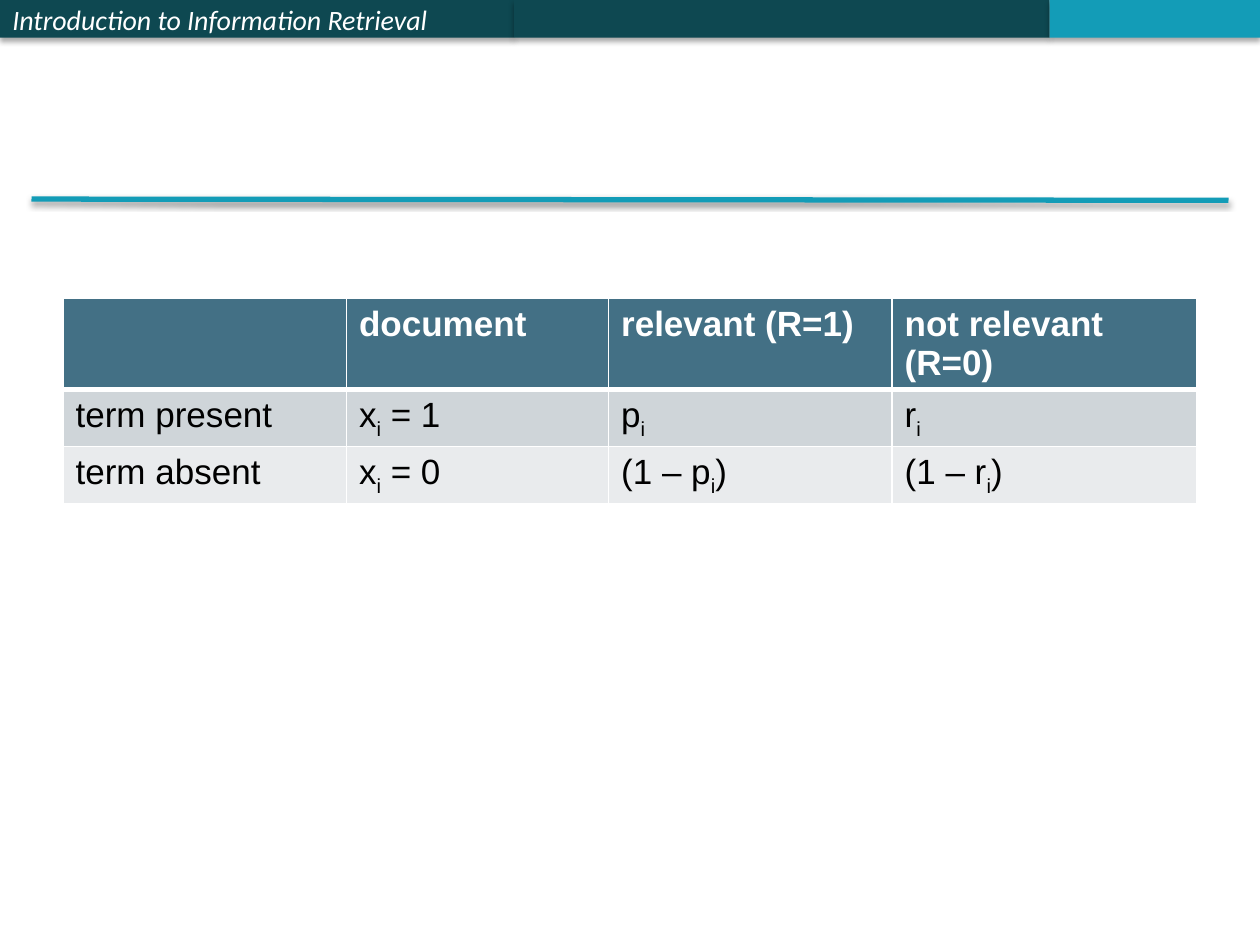
from lxml import etree
from pptx import Presentation, util as u
from pptx.dml.color import RGBColor
from pptx.enum import shapes, text
from pptx.oxml.ns import qn

WHITE, BLACK = "FFFFFF", "000000"
DARK_TEAL, TEAL = "0E4851", "139CB7"
HEADER_FILL, ROW_FILLS = "437085", ("CFD5D9", "E9EBED")

COLUMN_WIDTHS = (2.25, 2.08, 2.25, 2.42)
ROW_HEIGHT = 0.41
# Each cell is a list of runs; a run of "i" alone is a subscript.
ROWS = (
    ([], ["document"], ["relevant (R=1)"], ["not relevant (R=0)"]),
    (["term present"], ["x", "i", " = 1"], ["p", "i"], ["r", "i"]),
    (["term absent"], ["x", "i", " = 0"], ["(1 – p", "i", ")"], ["(1 – r", "i", ")"]),
)


def color(hex_string):
    return RGBColor.from_string(hex_string)


def add_span(para, words, font, size, hex_string, bold=False, italic=False):
    span = para.add_run()
    span.text = words
    span.font.name, span.font.size = font, u.Pt(size)
    span.font.bold, span.font.italic = bold, italic
    span.font.color.rgb = color(hex_string)
    return span


def add_shadow(shape, opacity, distance):
    """Drop a soft black shadow straight down; call after fill and line are set."""
    properties = shape._element.spPr
    effects = properties.find(qn("a:effectLst"))
    if effects is None:
        effects = etree.SubElement(properties, qn("a:effectLst"))
    shadow = etree.SubElement(
        effects, qn("a:outerShdw"), blurRad=str(u.Pt(3.1)), dist=str(u.Pt(distance)),
        dir="5400000", rotWithShape="0")
    tint = etree.SubElement(shadow, qn("a:srgbClr"), val=BLACK)
    etree.SubElement(tint, qn("a:alpha"), val=str(opacity * 1000))


def add_banner(page, left, top, height):
    for width, fill, title in (
        (4.08, DARK_TEAL, "Introduction to Information Retrieval"),
        (4.25, DARK_TEAL, None),
        (1.67, TEAL, None),
    ):
        band = page.shapes.add_shape(
            shapes.MSO_SHAPE.RECTANGLE, u.Inches(left), u.Inches(top),
            u.Inches(width), u.Inches(height))
        band.fill.solid()
        band.fill.fore_color.rgb = color(fill)
        band.line.fill.background()
        band.shadow.inherit = False
        add_shadow(band, 35, 1.8)
        if title:
            frame = band.text_frame
            frame.word_wrap = True
            frame.vertical_anchor = text.MSO_ANCHOR.MIDDLE
            para = frame.paragraphs[0]
            para.alignment = text.PP_ALIGN.LEFT
            add_span(para, title, "Calibri", 16, WHITE, italic=True)
        left += width


def add_title_rule(page, left, top, width, height):
    rule = page.shapes.add_connector(
        shapes.MSO_CONNECTOR.STRAIGHT, u.Inches(left), u.Inches(top),
        u.Inches(left + width), u.Inches(top + height))
    rule.line.color.rgb = color(TEAL)
    rule.line.width = u.Pt(3)
    add_shadow(rule, 38, 1.6)


def set_borders(cell, top, bottom):
    """Draw white borders; top and bottom are widths in points, the sides are 1."""
    properties = cell._tc.get_or_add_tcPr()
    for side, width in (("L", 1), ("R", 1), ("T", top), ("B", bottom)):
        line = etree.SubElement(properties, qn(f"a:ln{side}"), w=str(u.Pt(width)))
        fill = etree.SubElement(line, qn("a:solidFill"))
        etree.SubElement(fill, qn("a:srgbClr"), val=WHITE)


def fill_cell(cell, spans, row_index):
    is_header = row_index == 0
    set_borders(cell, 3 if row_index == 1 else 1, 3 if is_header else 1)
    cell.fill.solid()
    cell.fill.fore_color.rgb = color(HEADER_FILL if is_header else ROW_FILLS[row_index - 1])
    para = cell.text_frame.paragraphs[0]
    for words in spans:
        span = add_span(para, words, "Arial", 20, WHITE if is_header else BLACK, bold=is_header)
        if words == "i":
            span.font._element.set("baseline", "-25000")


def add_probability_table(page, left, top):
    table = page.shapes.add_table(
        len(ROWS), len(COLUMN_WIDTHS), u.Inches(left), u.Inches(top),
        u.Inches(sum(COLUMN_WIDTHS)), u.Inches(ROW_HEIGHT * len(ROWS))).table
    for column, width in zip(table.columns, COLUMN_WIDTHS):
        column.width = u.Inches(width)
    for row_index, row in enumerate(ROWS):
        table.rows[row_index].height = u.Inches(ROW_HEIGHT)
        for column_index, spans in enumerate(row):
            fill_cell(table.cell(row_index, column_index), spans, row_index)


def main():
    deck = Presentation()
    deck.slide_width, deck.slide_height = u.Inches(10), u.Inches(7.5)
    page = deck.slides.add_slide(deck.slide_layouts[6])
    add_banner(page, 0, 0, 0.3)
    add_title_rule(page, 0.25, 1.58, 9.5, 0.01)
    add_probability_table(page, 0.5, 2.37)
    deck.save("out.pptx")


if __name__ == "__main__":
    main()
